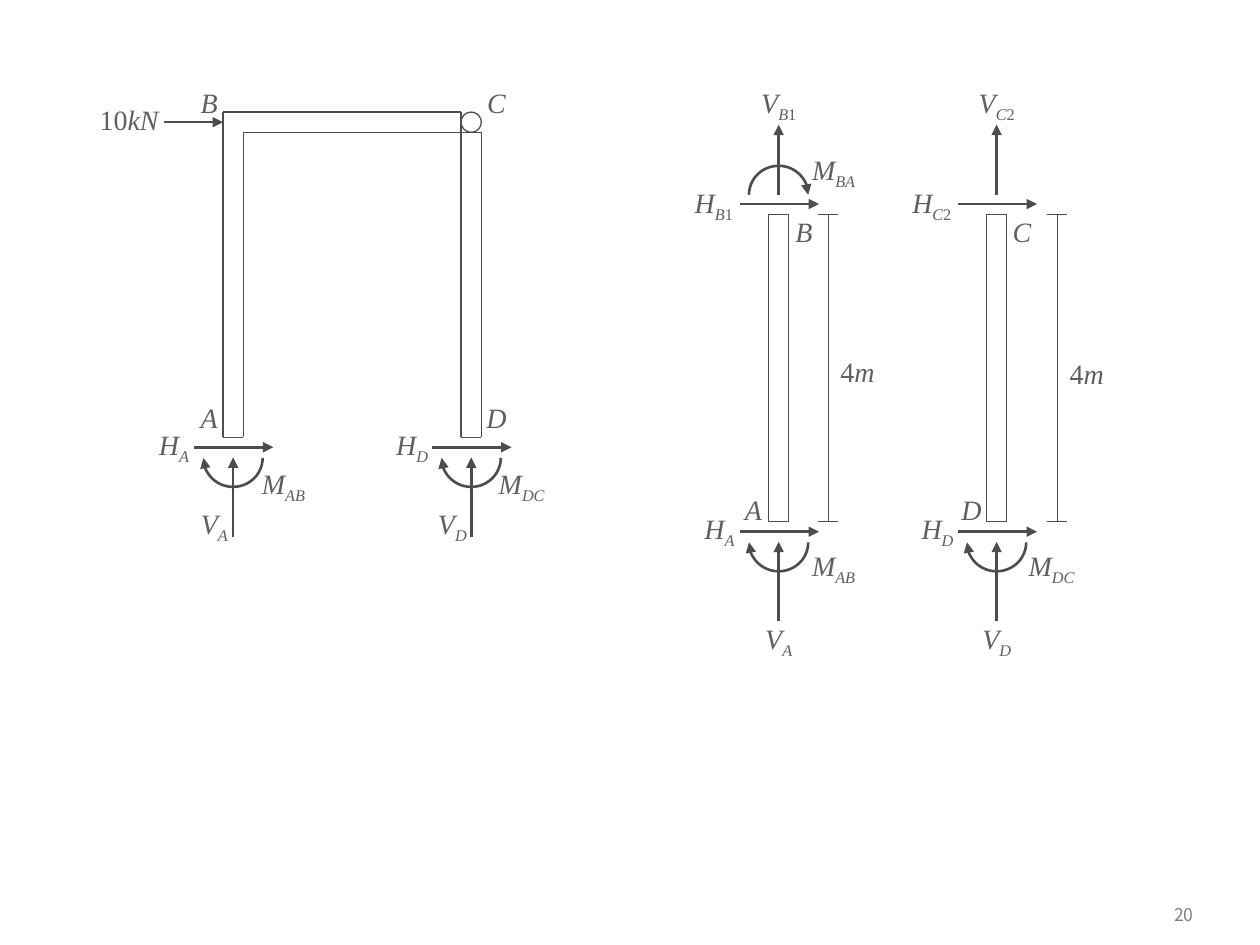
from itertools import groupby

from lxml.etree import SubElement
from pptx import Presentation
from pptx.dml.color import RGBColor
from pptx.enum.shapes import MSO_CONNECTOR as Connector, MSO_SHAPE as Shape
from pptx.enum.text import MSO_ANCHOR as Anchor, PP_ALIGN as Align
from pptx.oxml.ns import qn
from pptx.util import Inches, Pt

COLORS = {"line": "4D4D4D", "text": "5F5F5F", "number": "808080"}
MATH_FONT = {"name": "Times New Roman", "size": Pt(16)}
NUMBER_FONT = {"name": "Noto Sans CJK KR", "size": Pt(10)}
LABEL_FRAME = {
    "word_wrap": False, "vertical_anchor": Anchor.TOP,
    "margin_left": 0, "margin_right": 0, "margin_top": 0, "margin_bottom": 0,
}
NUMBER_FRAME = {"word_wrap": True, "vertical_anchor": Anchor.MIDDLE}
THIN, MEDIUM, THICK = 0.25, 0.75, 1.5
BAR = 0.16


def apply_format(target, values):
    for name, value in values.items():
        setattr(target, name, value)


def inches(*values):
    return [Inches(value) for value in values]


def style_line(item, width, arrow=False):
    item.line.color.rgb = RGBColor.from_string(COLORS["line"])
    item.line.width = Pt(width)
    if arrow:
        outline = item._element.spPr.find(qn("a:ln"))
        SubElement(outline, qn("a:headEnd"), type="triangle")


def add_line(shapes, start, end, width=MEDIUM, arrow=False):
    line = shapes.add_connector(Connector.STRAIGHT, *inches(*start, *end))
    style_line(line, width, arrow)
    SubElement(line._element.spPr, qn("a:effectLst"))


def add_outline(shapes, kind, box, width=MEDIUM, arrow=False):
    shape = shapes.add_shape(kind, *inches(*box))
    shape.fill.background()
    style_line(shape, width, arrow)
    shape.shadow.inherit = False
    return shape


def add_moment(shapes, left, top, flip):
    arc = add_outline(shapes, Shape.ARC, (left, top, 0.46, 0.47), THICK, True)
    arc.adjustments[0] = 162
    arc.adjustments[1] = 54.01
    arc.rotation = 90
    arc._element.spPr.find(qn("a:xfrm")).set(flip, "1")


def add_span(para, text, font, color):
    span = para.add_run()
    span.text = text
    apply_format(span.font, font)
    span.font.color.rgb = RGBColor.from_string(COLORS[color])
    return span


def add_label(shapes, text, left, top, width, height=0.27):
    box = shapes.add_textbox(*inches(left, top, width, height))
    apply_format(box.text_frame, LABEL_FRAME)
    para = box.text_frame.paragraphs[0]
    para.alignment = Align.CENTER
    for level, part in enumerate(text.split("_")):
        for is_number, letters in groupby(part, str.isdigit):
            font = MATH_FONT | {"italic": not is_number}
            span = add_span(para, "".join(letters), font, "text")
            if level:
                span._r.get_or_add_rPr().set("baseline", "-25000")


def add_support(shapes, x, base, joint, moment, moment_box, force_box):
    add_line(shapes, (x + 0.32, base + 0.08), (x - 0.31, base + 0.08), THICK, True)
    add_line(shapes, (x, base + 0.16), (x, base + 0.79), THICK, True)
    add_moment(shapes, x - 0.23, base - 0.07, "flipV")
    add_label(shapes, f"H_{joint}", x - 0.63, base - 0.08, 0.32)
    for text, (dx, dy, width) in ((f"M_{moment}", moment_box), (f"V_{joint}", force_box)):
        add_label(shapes, text, x + dx, base + dy, width)


def build_frame(slide, left, top, width, height):
    shapes = slide.shapes.add_group_shape().shapes
    right, base = left + width, top + height
    inner_left, inner_right, beam_base = left + BAR, right - BAR, top + BAR

    for start, end in (
        ((left, top), (inner_right, top)),
        ((inner_left, beam_base), (right, beam_base)),
        ((left, top), (left, base)),
        ((inner_left, beam_base), (inner_left, base)),
        ((inner_right, top), (inner_right, base)),
        ((right, beam_base), (right, base)),
        ((left, base), (inner_left, base)),
        ((inner_right, base), (right, base)),
    ):
        add_line(shapes, start, end)
    add_outline(shapes, Shape.OVAL, (inner_right, top, BAR, BAR))

    load_y = top + BAR / 2
    add_line(shapes, (left, load_y), (left - 0.47, load_y), THICK, True)
    add_label(shapes, "10kN", left - 1.02, top - 0.08, 0.55, 0.29)
    for x, y, text in (
        (left - 0.23, top - 0.21, "B"), (right, top - 0.21, "C"),
        (left - 0.23, base - 0.29, "A"), (right, base - 0.29, "D"),
    ):
        add_label(shapes, text, x, y, 0.24, 0.29)
    for x, joint, moment in ((left, "A", "AB"), (inner_right, "D", "DC")):
        add_support(shapes, x + BAR / 2, base, joint, moment,
                    (0.2, 0.23, 0.4), (-0.31, 0.55, 0.32))


def build_column(slide, left, top, width, height, foot, head, index, moment,
                 gap, length_y, head_moment=None):
    shapes = slide.shapes.add_group_shape().shapes
    x, base = left + width / 2, top + height

    add_outline(shapes, Shape.RECTANGLE, (left, top, width, height))
    add_label(shapes, foot, x - 0.31, base - 0.23, 0.22)
    add_label(shapes, head, x + 0.08, top, 0.24)
    add_support(shapes, x, base, foot, moment,
                (0.24, 0.21, 0.39), (-0.16, 0.79, 0.32))

    add_line(shapes, (x, top - 0.71), (x, top - 0.15), THICK, True)
    add_line(shapes, (x + 0.32, top - 0.08), (x - 0.31, top - 0.08), THICK, True)
    add_label(shapes, f"H_{head}{index}", x - 0.71, top - 0.23, 0.39)
    add_label(shapes, f"V_{head}{index}", x - 0.16, top - 1.02, 0.32)
    if head_moment:
        add_moment(shapes, x - 0.23, top - 0.39, "flipH")
        add_label(shapes, f"M_{head_moment}", x + 0.24, top - 0.49, 0.39)

    dimension_x = x + gap
    for y in (top, base):
        add_line(shapes, (dimension_x + 0.08, y), (dimension_x - 0.08, y), THIN)
    add_line(shapes, (dimension_x, base), (dimension_x, top), THIN)
    add_label(shapes, "4m", dimension_x, length_y, 0.47, 0.29)


def build_page_number(slide, *area):
    box = slide.shapes.add_textbox(*inches(*area))
    apply_format(box.text_frame, NUMBER_FRAME)
    para = box.text_frame.paragraphs[0]
    para.alignment = Align.RIGHT
    add_span(para, "20", NUMBER_FONT, "number")


def main():
    deck = Presentation()
    deck.slide_width, deck.slide_height = inches(10, 7.5)
    page = deck.slides.add_slide(deck.slide_layouts[6])
    build_page_number(page, 8.86, 7.09, 0.71, 0.33)
    build_frame(page, 1.77, 0.89, 2.05, 2.58)
    build_column(page, 6.1, 1.7, BAR, 2.44, foot="A", head="B", index=1,
                 moment="AB", gap=0.39, length_y=2.81, head_moment="BA")
    build_column(page, 7.83, 1.7, BAR, 2.44, foot="D", head="C", index=2,
                 moment="DC", gap=0.48, length_y=2.83)
    deck.save("out.pptx")


if __name__ == "__main__":
    main()
